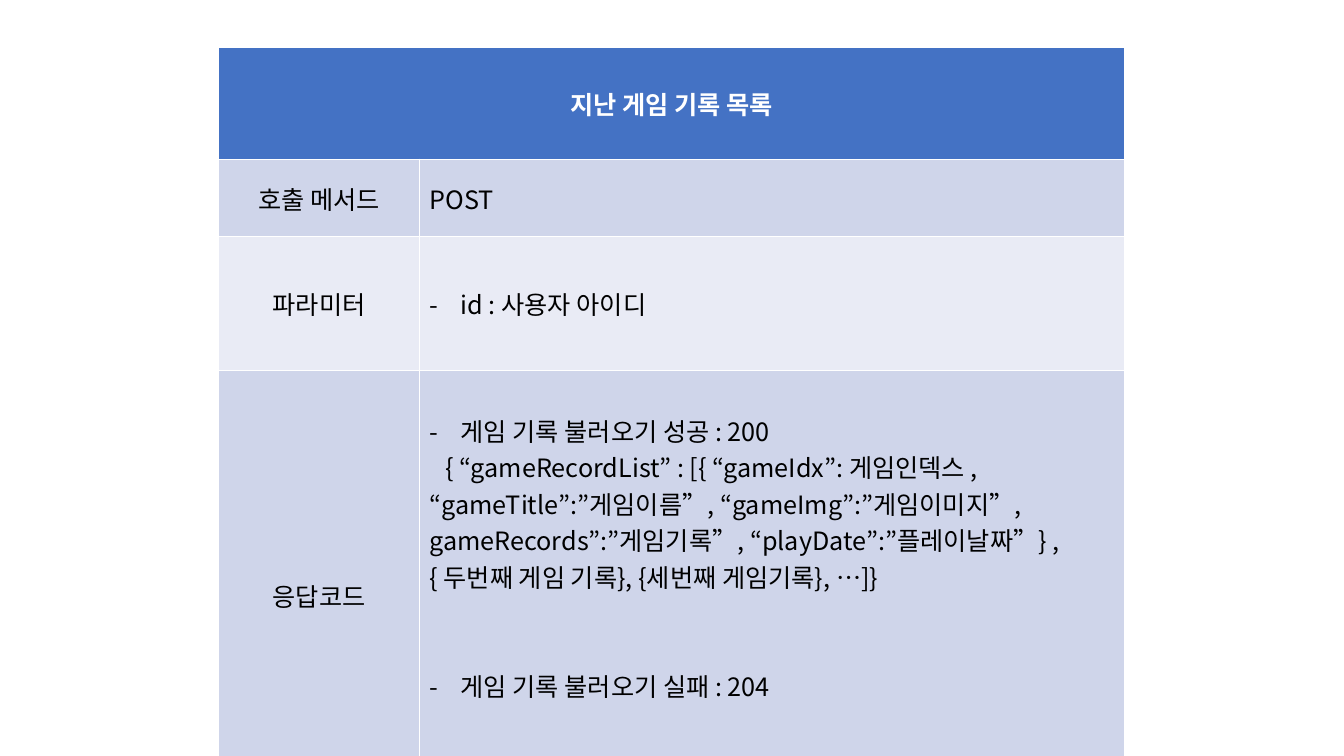
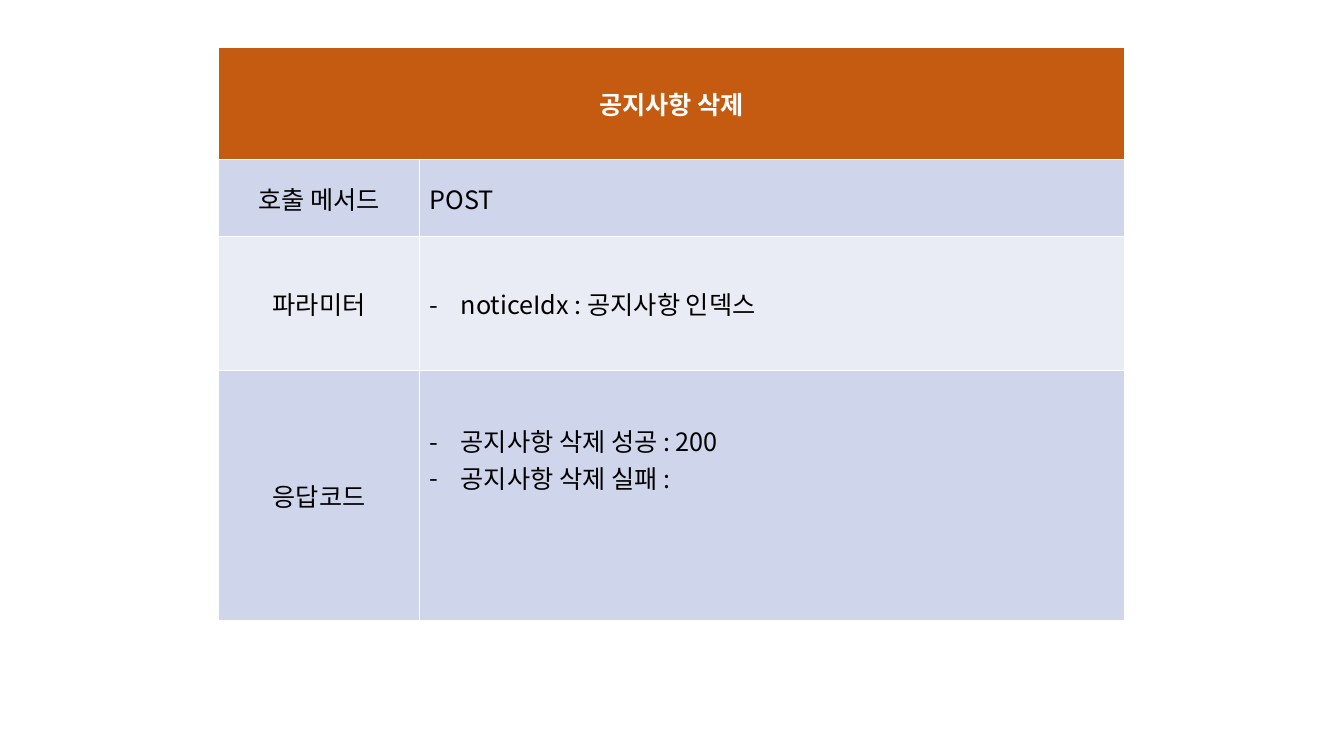
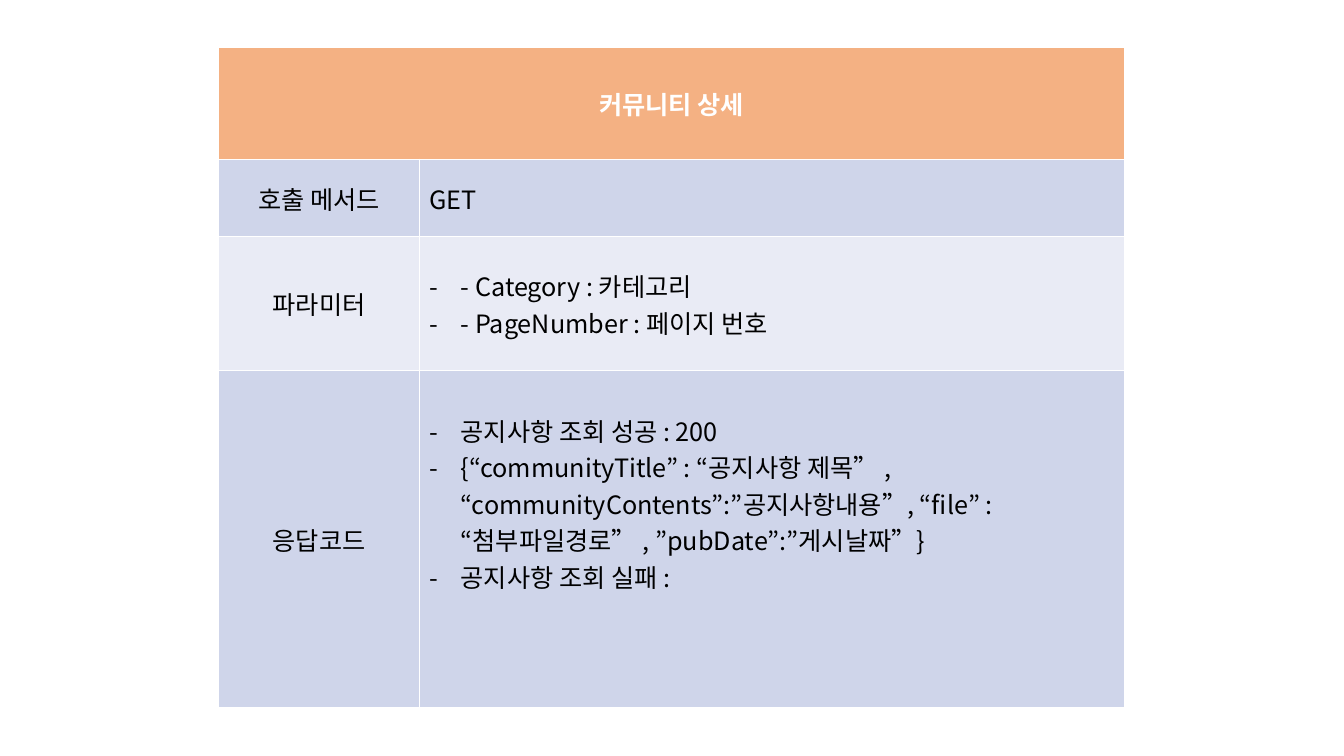
"""Build three API reference slides, each with one specification table."""
from lxml import etree
from pptx import Presentation
from pptx.dml.color import RGBColor
from pptx.enum.text import MSO_ANCHOR, PP_ALIGN
from pptx.oxml.ns import qn
from pptx.util import Inches, Pt

MIDDLE, TOP = MSO_ANCHOR.MIDDLE, MSO_ANCHOR.TOP
CENTER, LEFT = PP_ALIGN.CENTER, PP_ALIGN.LEFT
FONT = "Noto Sans CJK KR"
WHITE, BLACK = "FFFFFF", "000000"
BAND_DARK, BAND_LIGHT = "CFD5EA", "E9EBF5"
COLUMN_WIDTHS = [1.99, 6.99]
ROW_HEIGHTS = [1.11, 0.77, 1.33]
LABELS = ["호출 메서드", "파라미터", "응답코드"]
BANDS = [BAND_DARK, BAND_LIGHT, BAND_DARK]
HANGING = 0.31


def color(value):
    """Turn a hex string into a colour."""
    return RGBColor.from_string(value)


def write_cell(cell, paragraphs, fill, align=LEFT, ink=BLACK, bold=False, anchor=MIDDLE, top=0.05):
    """Fill a cell with paragraphs given as text or as text with format options."""
    cell.fill.solid()
    cell.fill.fore_color.rgb = color(fill)
    cell.vertical_anchor = anchor
    cell.margin_top = Inches(top)
    for index, (text, options) in enumerate(paragraphs):
        frame = cell.text_frame
        para = frame.paragraphs[0] if index == 0 else frame.add_paragraph()
        para.alignment = align
        if "before" in options:
            para.space_before = Pt(options["before"])
        properties = para._p.get_or_add_pPr()
        if options.get("bullet"):
            properties.set("marL", str(Inches(HANGING)))
            properties.set("indent", str(-Inches(HANGING)))
            etree.SubElement(properties, qn("a:buFont"), typeface=FONT)
            etree.SubElement(properties, qn("a:buChar"), char="-")
        elif "indent" in options:
            properties.set("indent", str(Inches(options["indent"])))
        span = para.add_run()
        span.text = text
        span.font.name = FONT
        span.font.size = Pt(18)
        span.font.bold = bold
        span.font.color.rgb = color(ink)
        etree.SubElement(span._r.get_or_add_rPr(), qn("a:ea"), typeface=FONT)


BULLET = {"bullet": True}
APIS = [
    {
        "title": "지난 게임 기록 목록", "accent": "4472C4", "method": "POST",
        "parameters": [("id : 사용자 아이디", BULLET)],
        "responses": [
            ("게임 기록 불러오기 성공 : 200", BULLET),
            ("{ “gameRecordList” : [{ “gameIdx”: 게임인덱스 , “gameTitle”:”게임이름”, "
             "“gameImg”:”게임이미지”, gameRecords”:”게임기록”, “playDate”:”플레이날짜”} , "
             "{ 두번째 게임 기록}, {세번째 게임기록}, …]}", {"indent": 0.16}),
            ("게임 기록 불러오기 실패 : 204", {"bullet": True, "before": 52}),
        ],
        "height": 4.45, "top": 0.41,
    },
    {
        "title": "공지사항 삭제", "accent": "C55A11", "method": "POST",
        "parameters": [("noticeIdx : 공지사항 인덱스", BULLET)],
        "responses": [
            ("공지사항 삭제 성공 : 200", BULLET),
            ("공지사항 삭제 실패 :", BULLET),
        ],
        "height": 2.48, "top": 0.51,
    },
    {
        "title": "커뮤니티 상세", "accent": "F4B183", "method": "GET",
        "parameters": [("- Category : 카테고리", BULLET), ("- PageNumber : 페이지 번호", BULLET)],
        "responses": [
            ("공지사항 조회 성공 : 200", BULLET),
            ("{“communityTitle” : “공지사항 제목” , “communityContents”:”공지사항내용”, "
             "“file” : “첨부파일경로” , ”pubDate”:”게시날짜”}", BULLET),
            ("공지사항 조회 실패 :", BULLET),
        ],
        "height": 3.34, "top": 0.41,
    },
]

deck = Presentation()
deck.slide_width, deck.slide_height = Inches(13.33), Inches(7.5)

for api in APIS:
    page = deck.slides.add_slide(deck.slide_layouts[6])
    heights = ROW_HEIGHTS + [api["height"]]
    table = page.shapes.add_table(
        len(heights), len(COLUMN_WIDTHS), Inches(2.17), Inches(0.47),
        Inches(sum(COLUMN_WIDTHS)), Inches(sum(heights))).table
    for column, width in zip(table.columns, COLUMN_WIDTHS):
        column.width = Inches(width)
    for row, height in zip(table.rows, heights):
        row.height = Inches(height)

    header = table.cell(0, 0)
    header.merge(table.cell(0, 1))
    write_cell(header, [(api["title"], {})], api["accent"], align=CENTER, ink=WHITE, bold=True)

    for number, (label, band) in enumerate(zip(LABELS, BANDS), start=1):
        write_cell(table.cell(number, 0), [(label, {})], band, align=CENTER)
    write_cell(table.cell(1, 1), [(api["method"], {})], BAND_DARK)
    write_cell(table.cell(2, 1), api["parameters"], BAND_LIGHT)
    write_cell(table.cell(3, 1), api["responses"], BAND_DARK, anchor=TOP, top=api["top"])

deck.save("out.pptx")
